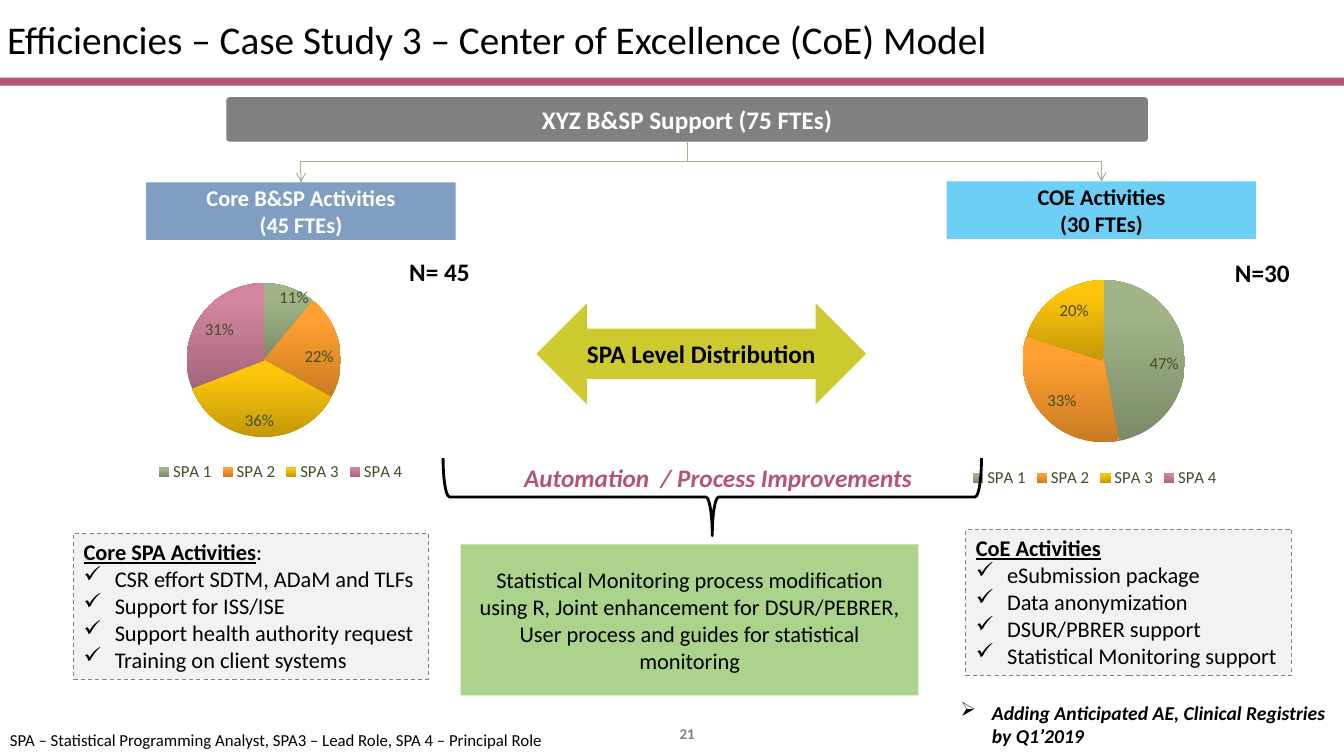
from lxml import etree
from pptx import Presentation
from pptx.chart.data import CategoryChartData
from pptx.dml.color import RGBColor
from pptx.enum.chart import XL_CHART_TYPE, XL_LABEL_POSITION, XL_LEGEND_POSITION
from pptx.enum.dml import MSO_LINE
from pptx.enum.shapes import MSO_CONNECTOR, MSO_SHAPE
from pptx.enum.text import MSO_ANCHOR, PP_ALIGN
from pptx.oxml import parse_xml
from pptx.oxml.ns import nsdecls, qn
from pptx.util import Pt

PX = 9144
FONT = "Calibri"
BLACK, WHITE, GREY, ROSE = "000000", "FFFFFF", "808080", "B55475"
CHART_TEXT = "444D26"
LEFT, CENTER = PP_ALIGN.LEFT, PP_ALIGN.CENTER
TOP, MIDDLE = MSO_ANCHOR.TOP, MSO_ANCHOR.MIDDLE
RECT, ROUNDED = MSO_SHAPE.RECTANGLE, MSO_SHAPE.ROUNDED_RECTANGLE
DOUBLE_ARROW, BRACE = MSO_SHAPE.LEFT_RIGHT_ARROW, MSO_SHAPE.LEFT_BRACE
ELBOW, DASH = MSO_CONNECTOR.ELBOW, MSO_LINE.DASH
PIE, BOTTOM = XL_CHART_TYPE.PIE, XL_LEGEND_POSITION.BOTTOM
INSIDE_END = XL_LABEL_POSITION.INSIDE_END

LEVELS = ["SPA 1", "SPA 2", "SPA 3", "SPA 4"]
LEVEL_SHADES = [("7B8B69", "A0B488"), ("C97C22", "FFA031"),
                ("C29809", "FBC50C"), ("A2667A", "D3849F")]


def color(value):
    """Turn a hex string into a colour."""
    return RGBColor.from_string(value)


def emu(box):
    """Turn px lengths into EMU."""
    return [round(length * PX) for length in box]


def style(font, size, shade=BLACK, bold=False, italic=False):
    """Set the look of a font."""
    font.name, font.size = FONT, Pt(size)
    font.bold, font.italic = bold, italic
    font.color.rgb = color(shade)


def write(shape, lines, size, shade=BLACK, bold=False, italic=False,
          align=LEFT, anchor=MIDDLE, wrap=True, bullet=None, first_bullet=0):
    """Write lines into a shape, with bullets from first_bullet on."""
    frame = shape.text_frame
    frame.word_wrap, frame.vertical_anchor = wrap, anchor
    for index, line in enumerate(lines):
        paragraph = frame.add_paragraph() if index else frame.paragraphs[0]
        paragraph.alignment = align
        if bullet and index >= first_bullet:
            props = paragraph._p.get_or_add_pPr()
            props.set("marL", str(31 * PX))
            props.set("indent", str(-31 * PX))
            etree.SubElement(props, qn("a:buChar")).set("char", bullet)
        style(paragraph.font, size, shade, bold, italic)
        paragraph.add_run().text = line
    return frame


def label(slide, box, line, size, **look):
    """Place a text box."""
    return write(slide.shapes.add_textbox(*emu(box)), [line], size, **look)


def block(slide, kind, box, fill=None, line=None, width=0.75):
    """Place a shape with an optional fill and line."""
    shape = slide.shapes.add_shape(kind, *emu(box))
    shape.shadow.inherit = False
    if fill:
        shape.fill.solid()
        shape.fill.fore_color.rgb = color(fill)
    else:
        shape.fill.background()
    if line:
        shape.line.color.rgb = color(line)
        shape.line.width = Pt(width)
    else:
        shape.line.fill.background()
    return shape


def branch(slide, start, end):
    """Draw an elbow arrow that leaves downwards, turns and ends downwards."""
    (x1, y1), (x2, y2) = start, end
    side = 1 if x2 > x1 else -1
    mid_x, mid_y = (x1 + x2) / 2, (y1 + y2) / 2
    half_drop, half_span = (y2 - y1) / 2, abs(x2 - x1) / 2
    arrow = slide.shapes.add_connector(ELBOW, *emu((
        mid_x + side * half_drop, mid_y - half_span,
        mid_x - side * half_drop, mid_y + half_span)))
    arrow.line.color.rgb = color("A1B28E")
    arrow.line.width = Pt(0.75)
    props = arrow._element.spPr
    props.find(qn("a:xfrm")).set("rot", str((180 + side * 90) * 60000))
    etree.SubElement(arrow.line._get_or_add_ln(), qn("a:tailEnd")).set("type", "arrow")
    etree.SubElement(props, qn("a:effectLst"))


def layout(mode="", **fractions):
    """Build a manual chart layout."""
    parts = "".join(f'<c:{key} val="{value:.3f}"/>' for key, value in fractions.items())
    return parse_xml(f'<c:layout {nsdecls("c")}><c:manualLayout>{mode}{parts}'
                     '</c:manualLayout></c:layout>')


def level_pie(slide, box, pie, shares, shifted=None):
    """Draw the SPA level pie at (left, top, diameter) within its chart box."""
    data = CategoryChartData(number_format="0%")
    data.categories = LEVELS
    data.add_series("Series 1", shares)
    chart = slide.shapes.add_chart(PIE, *emu(box), data).chart
    style(chart.font, 12, CHART_TEXT)
    chart.has_title = False
    chart.has_legend = True
    chart.legend.position = BOTTOM
    chart.legend.include_in_layout = False
    style(chart.legend.font, 12, CHART_TEXT)

    left, top, diameter = pie
    _, _, width, height = box
    area = chart._chartSpace.chart.plotArea
    for old in area.findall(qn("c:layout")):
        area.remove(old)
    mode = '<c:layoutTarget val="inner"/><c:xMode val="edge"/><c:yMode val="edge"/>'
    area.insert(0, layout(mode, x=left / width, y=top / height,
                          w=diameter / width, h=diameter / height))

    plot = chart.plots[0]
    plot.vary_by_categories = True
    plot.has_data_labels = True
    labels = plot.data_labels
    labels.show_value, labels.show_percentage = True, False
    labels.number_format, labels.number_format_is_linked = "0%;;", False
    labels.position = INSIDE_END
    style(labels.font, 12, CHART_TEXT)
    points = plot.series[0].points
    for index, shades in enumerate(LEVEL_SHADES):
        fill = points[index].format.fill
        fill.gradient()
        fill.gradient_angle = 90
        for stop, shade, position in zip(fill.gradient_stops, shades, (0, 0.8)):
            stop.color.rgb, stop.position = color(shade), position
    if shifted is not None:
        moved = points[shifted].data_label
        style(moved.font, 12, CHART_TEXT)
        moved.position = INSIDE_END
        moved._dLbl.insert(1, layout(x=0.05, y=-0.025))
        series_labels = plot.series[0].data_labels
        series_labels.show_value = True
        series_labels.number_format = "0%;;"
        series_labels.number_format_is_linked = False
        series_labels.position = INSIDE_END
        style(series_labels.font, 12, CHART_TEXT)


def header(slide, box):
    """Place the title and the rule below it."""
    left, top, width, height = box
    title = label(slide, box, "Efficiencies – Case Study 3 – Center of Excellence (CoE) Model", 28)
    title.margin_left = title.margin_right = 7 * PX
    block(slide, RECT, (left, top + height, width, 8), ROSE)


def support_tree(slide, box):
    """Place the support bar and its two branches."""
    left, top, width, height = box
    bar = block(slide, ROUNDED, box, GREY, GREY)
    bar.adjustments[0] = 0.064
    write(bar, ["XYZ B&SP Support (75 FTEs)"], 18, WHITE, True, align=CENTER)
    root = (left + width / 2, top + height)
    for x, y, fill, shade, lines in (
            (145, 181, "809EC2", WHITE, ["Core B&SP Activities", "(45 FTEs)"]),
            (939, 180, "6DCFF6", BLACK, ["COE Activities", "(30 FTEs)"])):
        team = block(slide, RECT, (x, y, 307, 57), fill)
        write(team, lines, 16, shade, True, align=CENTER)
        branch(slide, root, (x + 307 / 2, y))


def activities(slide, box, heading, tasks, ending=""):
    """Place a dashed box with a heading and ticked tasks."""
    panel = block(slide, RECT, box, "F2F2F2", GREY)
    panel.line.dash_style = DASH
    frame = write(panel, [heading, *tasks], 16, anchor=TOP, wrap=False,
                  bullet="✓", first_bullet=1)
    first = frame.paragraphs[0]
    first.runs[0].font.bold = first.runs[0].font.underline = True
    if ending:
        first.add_run().text = ending


def improvements(slide, box):
    """Place the brace, its caption and the improvement text below."""
    left, top, width, height = box
    brace_width, brace_height = 77, 534
    brace = block(slide, BRACE, (left + 211, top - 314, brace_width, brace_height),
                  line=BLACK, width=2)
    brace.rotation = 270
    brace.adjustments[0] = 0.083
    label(slide, (left + 53, top - 86, 411, 40), "Automation  / Process Improvements", 18,
          shade=ROSE, bold=True, italic=True, anchor=TOP, wrap=False)
    write(block(slide, RECT, (left, top, width, height), "ABD38C"),
          ["Statistical Monitoring process modification using R, Joint enhancement for "
           "DSUR/PEBRER, User process and guides for statistical monitoring"],
          16, align=CENTER)


def footer(slide, box):
    """Place the abbreviations, page number and outlook."""
    left, top, _, _ = box
    label(slide, (left, top + 29, 555, 30), "SPA – Statistical Programming Analyst, "
          "SPA3 – Lead Role, SPA 4 – Principal Role", 12, anchor=TOP, wrap=False)
    label(slide, (left + 633, top + 18, 97, 39), "21", 10.7, shade=GREY, bold=True, align=CENTER)
    label(slide, (left + 943, top, 386, 57), "Adding Anticipated AE, Clinical Registries by Q1’2019",
          14, bold=True, italic=True, anchor=TOP, bullet="➢")


def main():
    """Build the slide."""
    deck = Presentation()
    deck.slide_width, deck.slide_height = emu((1333, 750))
    slide = deck.slides.add_slide(deck.slide_layouts[6])
    header(slide, (0, 0, 1333, 77))
    support_tree(slide, (225, 97, 913, 43))
    level_pie(slide, (73, 244, 411, 238), (112, 37, 153), (0.11, 0.22, 0.36, 0.31), 0)
    level_pie(slide, (882, 248, 408, 240), (132, 30, 161), (0.47, 0.33, 0.2, 0))
    for box, count in (((396, 249, 81, 40), "N= 45"), ((1215, 250, 75, 40), "N=30")):
        label(slide, box, count, 18, bold=True, anchor=TOP, wrap=False)
    write(block(slide, DOUBLE_ARROW, (532, 301, 327, 100), "CDCA2F"),
          ["SPA Level Distribution"], 18, bold=True, align=CENTER, wrap=False)
    activities(slide, (73, 529, 352, 145), "Core SPA Activities",
               ["CSR effort SDTM, ADaM and TLFs", "Support for ISS/ISE",
                "Support health authority request", "Training on client systems"], ":")
    activities(slide, (958, 525, 323, 145), "CoE Activities",
               ["eSubmission package", "Data anonymization", "DSUR/PBRER support",
                "Statistical Monitoring support"])
    improvements(slide, (457, 540, 454, 150))
    footer(slide, (0, 690, 1333, 60))
    deck.save("out.pptx")


if __name__ == "__main__":
    main()
